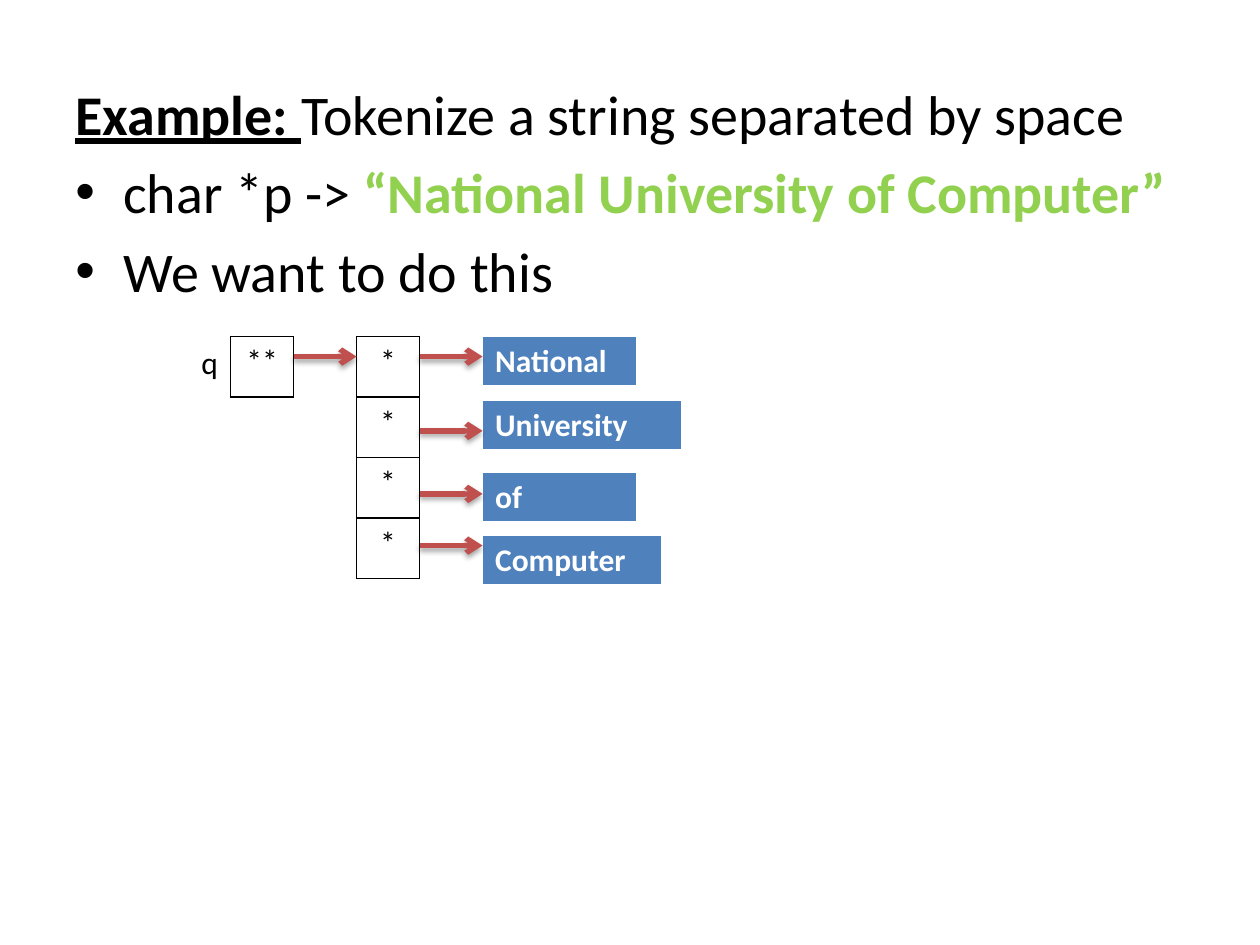
from dataclasses import dataclass

from pptx import Presentation
from pptx.dml.color import RGBColor
from pptx.enum.shapes import MSO_CONNECTOR
from pptx.enum.text import PP_ALIGN
from pptx.oxml import parse_xml
from pptx.oxml.ns import nsdecls, qn
from pptx.util import Inches, Pt

STRAIGHT = MSO_CONNECTOR.STRAIGHT
LEFT, CENTER = PP_ALIGN.LEFT, PP_ALIGN.CENTER

FONT = "Calibri"
BLACK, WHITE = "000000", "FFFFFF"
GREEN, BLUE, RED = "92D050", "4F81BD", "C0504D"

# Diagram grid: half-inch columns, pointer cells stacked in equal rows
GRID_LEFT, GRID_TOP = 1.83, 2.67
COLUMN, ROW = 0.5, 0.48
WORD_HEIGHT = 0.4
Q_COLUMN, POINTER_COLUMN, WORD_COLUMN = 0, 2, 4


@dataclass
class Span:
    text: str
    color: str = BLACK
    bold: bool = False
    underline: bool = False


@dataclass
class Token:
    word: str
    top: float
    width: float
    arrow_y: float


@dataclass
class CellStyle:
    color: str
    bold: bool
    align: PP_ALIGN
    fill: str | None
    borders: dict[str, float]  # side -> width in points
    border_color: str


POINTER = CellStyle(BLACK, False, CENTER, None, dict(L=1, R=1, T=1, B=1), BLACK)
WORD = CellStyle(WHITE, True, LEFT, BLUE, dict(L=1, R=1, T=1, B=3), WHITE)

HEADING = [
    [Span("Example: ", bold=True, underline=True),
     Span("Tokenize a string separated by space")],
    [Span("char *p -> "),
     Span("“National University of Computer”", GREEN, bold=True)],
    [Span("We want to do this")],
]
TOKENS = [
    Token("National", 2.67, 1.22, 2.83),
    Token("University", 3.18, 1.58, 3.42),
    Token("of", 3.75, 1.22, 3.92),
    Token("Computer", 4.25, 1.42, 4.33),
]


def rgb(color: str) -> RGBColor:
    return RGBColor.from_string(color)


def column_x(column: float) -> float:
    return GRID_LEFT + column * COLUMN


def style_font(font, size: float, color: str, bold: bool = False) -> None:
    font.name, font.size, font.bold = FONT, Pt(size), bold
    font.color.rgb = rgb(color)


def add_text(slide, left: float, top: float, width: float, height: float,
             lines: list[list[Span]], size: float):
    box = slide.shapes.add_textbox(*map(Inches, (left, top, width, height)))
    frame = box.text_frame
    frame.word_wrap = True
    for index, spans in enumerate(lines):
        paragraph = frame.paragraphs[0] if index == 0 else frame.add_paragraph()
        for span in spans:
            run = paragraph.add_run()
            run.text = span.text
            style_font(run.font, size, span.color, span.bold)
            run.font.underline = span.underline
    return frame


def add_hanging_indent(paragraph, bullet: str | None) -> None:
    paragraph.space_before = Pt(6.4)
    properties = paragraph._p.get_or_add_pPr()
    properties.set("marL", str(Inches(0.38)))
    properties.set("indent", str(-Inches(0.38)))
    if bullet:
        properties.append(parse_xml(f'<a:buFont {nsdecls("a")} typeface="Arial"/>'))
        properties.append(parse_xml(f'<a:buChar {nsdecls("a")} char="{bullet}"/>'))


def add_cells(slide, column: int, top: float, width: float, row_height: float,
              texts: list[str], style: CellStyle) -> None:
    table = slide.shapes.add_table(
        len(texts), 1, Inches(column_x(column)), Inches(top),
        Inches(width), Inches(row_height * len(texts))).table
    table.first_row = table.horz_banding = False
    for cell, text in zip(table.iter_cells(), texts):
        cell.text = text
        paragraph = cell.text_frame.paragraphs[0]
        paragraph.alignment = style.align
        style_font(paragraph.runs[0].font, 18, style.color, style.bold)
        properties = cell._tc.get_or_add_tcPr()
        for side, points in style.borders.items():
            properties.append(parse_xml(
                f'<a:ln{side} {nsdecls("a")} w="{Pt(points)}"><a:solidFill>'
                f'<a:srgbClr val="{style.border_color}"/></a:solidFill></a:ln{side}>'))
        if style.fill:
            cell.fill.solid()
            cell.fill.fore_color.rgb = rgb(style.fill)
        else:
            cell.fill.background()


def add_arrow(slide, column: int, y: float) -> None:
    """Draw an arrow across one grid column."""
    arrow = slide.shapes.add_connector(
        STRAIGHT, Inches(column_x(column)), Inches(y),
        Inches(column_x(column + 1)), Inches(y))
    arrow.line.color.rgb = rgb(RED)
    arrow.line.width = Pt(3)
    properties = arrow._element.spPr
    properties.find(qn("a:ln")).append(
        parse_xml(f'<a:tailEnd {nsdecls("a")} type="arrow"/>'))
    properties.append(parse_xml(
        f'<a:effectLst {nsdecls("a")}><a:outerShdw blurRad="{Pt(3.1)}" '
        f'dist="{Pt(1.8)}" dir="5400000" rotWithShape="0"><a:srgbClr val="{BLACK}">'
        '<a:alpha val="35000"/></a:srgbClr></a:outerShdw></a:effectLst>'))


def main() -> None:
    deck = Presentation()
    deck.slide_width, deck.slide_height = Inches(10), Inches(7.5)
    slide = deck.slides.add_slide(deck.slide_layouts[6])

    # Heading and bullets
    body = add_text(slide, 0.5, 0.58, 9, 6.12, HEADING, 32)
    for paragraph, bullet in zip(body.paragraphs, (None, "•", "•")):
        add_hanging_indent(paragraph, bullet)

    # Pointer array and the words it refers to
    add_cells(slide, POINTER_COLUMN, GRID_TOP, COLUMN, ROW, ["*"] * len(TOKENS), POINTER)
    for token in TOKENS:
        add_cells(slide, WORD_COLUMN, token.top, token.width, WORD_HEIGHT,
                  [token.word], WORD)
        add_arrow(slide, POINTER_COLUMN + 1, token.arrow_y)

    # Double pointer q
    add_text(slide, 1.5, GRID_TOP, 0.67, 0.4, [[Span("q")]], 18)
    add_cells(slide, Q_COLUMN, GRID_TOP, COLUMN, ROW, ["**"], POINTER)
    add_arrow(slide, Q_COLUMN + 1, TOKENS[0].arrow_y)

    deck.save("out.pptx")


if __name__ == "__main__":
    main()
